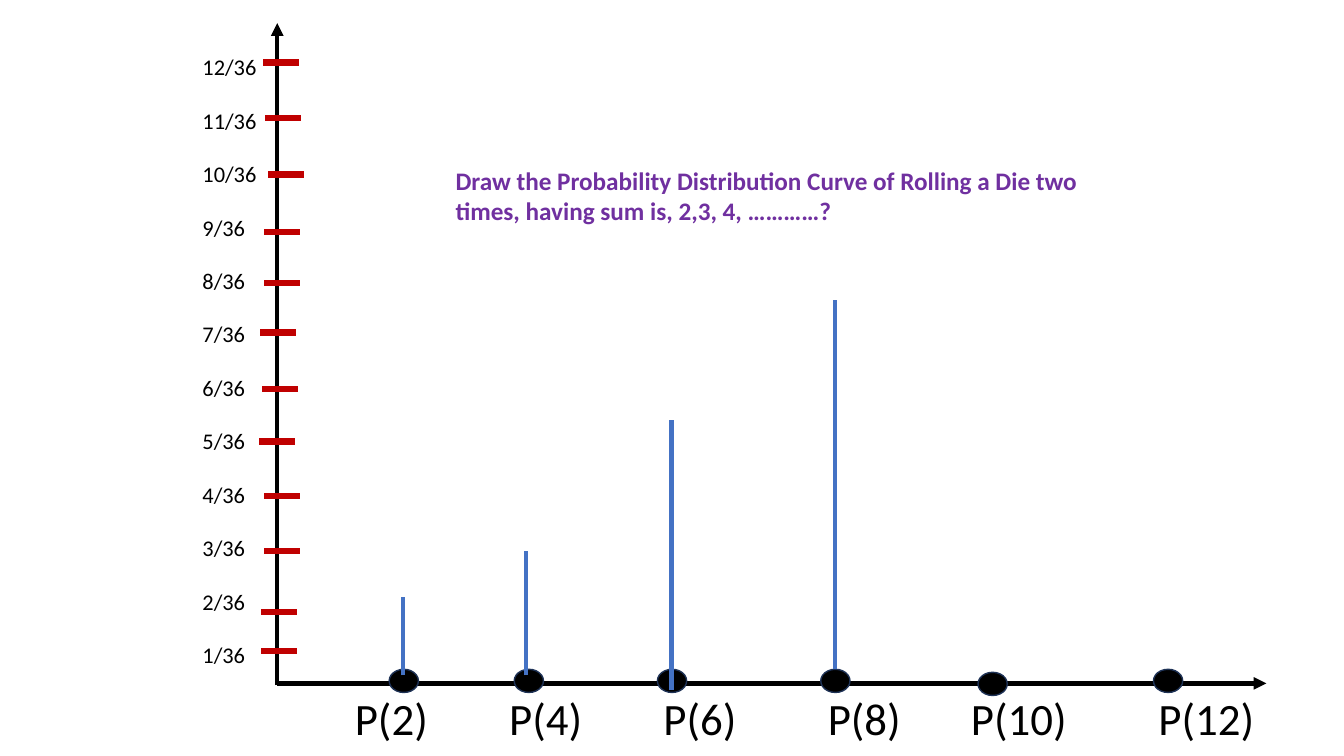
from lxml.etree import SubElement
from pptx import Presentation
from pptx.dml.color import RGBColor
from pptx.enum.shapes import MSO_CONNECTOR, MSO_SHAPE
from pptx.enum.text import MSO_AUTO_SIZE
from pptx.oxml.ns import qn
from pptx.util import Inches, Pt

COLORS = {
    "ink": "000000",
    "dot_edge": "1E3256",
    "tick": "C00000",
    "stem": "4472C4",
    "question": "7030A0",
}
FONT = "Calibri"

ORIGIN_X, ORIGIN_Y = 2.75, 6.78
DOT_W, DOT_H = 0.29, 0.23
TICK_LENGTH = 0.36

# Sum of the two dice: left edge of its label, left and top of its dot
SUMS = {
    2: (3.52, 3.86, 6.64),
    4: (5.05, 5.10, 6.64),
    6: (6.58, 6.52, 6.64),
    8: (8.21, 8.14, 6.64),
    10: (9.63, 9.70, 6.67),
    12: (11.49, 11.44, 6.64),
}
# Left end and height of each tick, from 12/36 down to 1/36
TICKS = [
    (2.61, 0.62), (2.63, 1.17), (2.66, 1.73), (2.62, 2.30),
    (2.62, 2.81), (2.58, 3.30), (2.60, 3.86), (2.57, 4.38),
    (2.62, 4.92), (2.62, 5.47), (2.59, 6.07), (2.59, 6.46),
]
# Position, foot and top of each probability stem
STEMS = [
    (5.22, 6.70, 5.47), (4.00, 6.70, 5.92),
    (6.66, 6.85, 4.17), (8.28, 6.64, 2.98),
]


def rgb(name):
    return RGBColor.from_string(COLORS[name])


def add_line(slide, start, end, color, weight, arrow=False):
    line = slide.shapes.add_connector(
        MSO_CONNECTOR.STRAIGHT, *map(Inches, start + end))
    line.line.color.rgb = rgb(color)
    line.line.width = Pt(weight)
    if arrow:
        SubElement(line.line._get_or_add_ln(), qn("a:tailEnd"), type="triangle")
    SubElement(line._element.spPr, qn("a:effectLst"))


def add_frame(slide, box):
    frame = slide.shapes.add_textbox(*map(Inches, box)).text_frame
    frame.word_wrap = True
    frame.auto_size = MSO_AUTO_SIZE.SHAPE_TO_FIT_TEXT
    return frame


def add_run(paragraph, text, size, color, bold=False):
    run = paragraph.add_run()
    run.text = text
    run.font.name = FONT
    run.font.size = Pt(size)
    run.font.bold = bold
    run.font.color.rgb = rgb(color)


def add_axes(slide):
    origin = (ORIGIN_X, ORIGIN_Y)
    add_line(slide, origin, (12.56, ORIGIN_Y), "ink", 3, arrow=True)
    add_line(slide, (ORIGIN_X, 6.8), (ORIGIN_X, 0.23), "ink", 3, arrow=True)


def add_sum_labels(slide, box):
    """Label the sums on one line, each at its own tab stop."""
    frame = add_frame(slide, box)
    first, *others = [label_x for label_x, _, _ in SUMS.values()]
    frame.margin_left = Inches(first - box[0])
    paragraph = frame.paragraphs[0]
    stops = SubElement(paragraph._p.get_or_add_pPr(), qn("a:tabLst"))
    for label_x in others:
        SubElement(stops, qn("a:tab"), pos=str(Inches(label_x - first)), algn="l")
    add_run(paragraph, "\t".join(f"P({total})" for total in SUMS), 32, "ink")


def add_dots(slide):
    for _, left, top in SUMS.values():
        dot = slide.shapes.add_shape(
            MSO_SHAPE.OVAL, *map(Inches, (left, top, DOT_W, DOT_H)))
        dot.shadow.inherit = False
        dot.fill.solid()
        dot.fill.fore_color.rgb = rgb("ink")
        dot.line.color.rgb = rgb("dot_edge")
        dot.line.width = Pt(1)


def add_probability_scale(slide, box):
    frame = add_frame(slide, box)
    for numerator in range(12, 0, -1):
        paragraph = frame.paragraphs[0] if numerator == 12 else frame.add_paragraph()
        if numerator > 1:
            paragraph.space_after = Pt(19)
        add_run(paragraph, f"{numerator}/36", 16, "ink")
    for left, y in TICKS:
        add_line(slide, (left, y), (left + TICK_LENGTH, y), "tick", 4.5)


def add_stems(slide):
    for x, foot, top in STEMS:
        add_line(slide, (x, foot), (x, top), "stem", 3)


def add_question(slide, box):
    add_run(
        add_frame(slide, box).paragraphs[0],
        "Draw the Probability Distribution Curve of Rolling a Die two times, "
        "having sum is, 2,3, 4, …………?",
        18, "question", bold=True)


def main():
    deck = Presentation()
    deck.slide_width, deck.slide_height = Inches(13.33), Inches(7.5)
    slide = deck.slides.add_slide(deck.slide_layouts[6])
    add_axes(slide)
    add_sum_labels(slide, (3.12, 6.8, 9.76, 0.64))
    add_dots(slide)
    add_probability_scale(slide, (1.91, 0.48, 6.67, 6.29))
    add_stems(slide)
    add_question(slide, (4.42, 1.59, 6.67, 0.71))
    deck.save("out.pptx")


if __name__ == "__main__":
    main()
